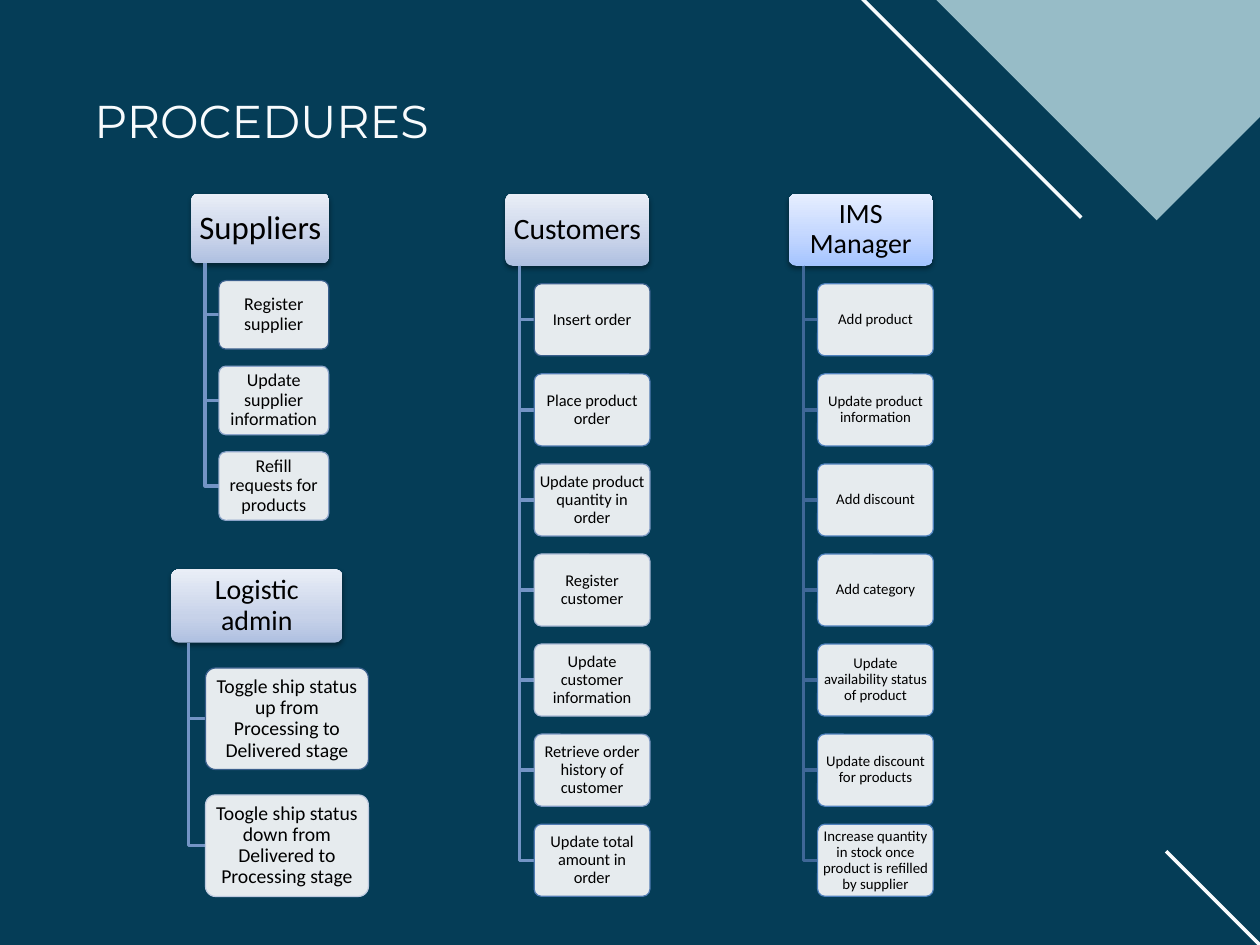
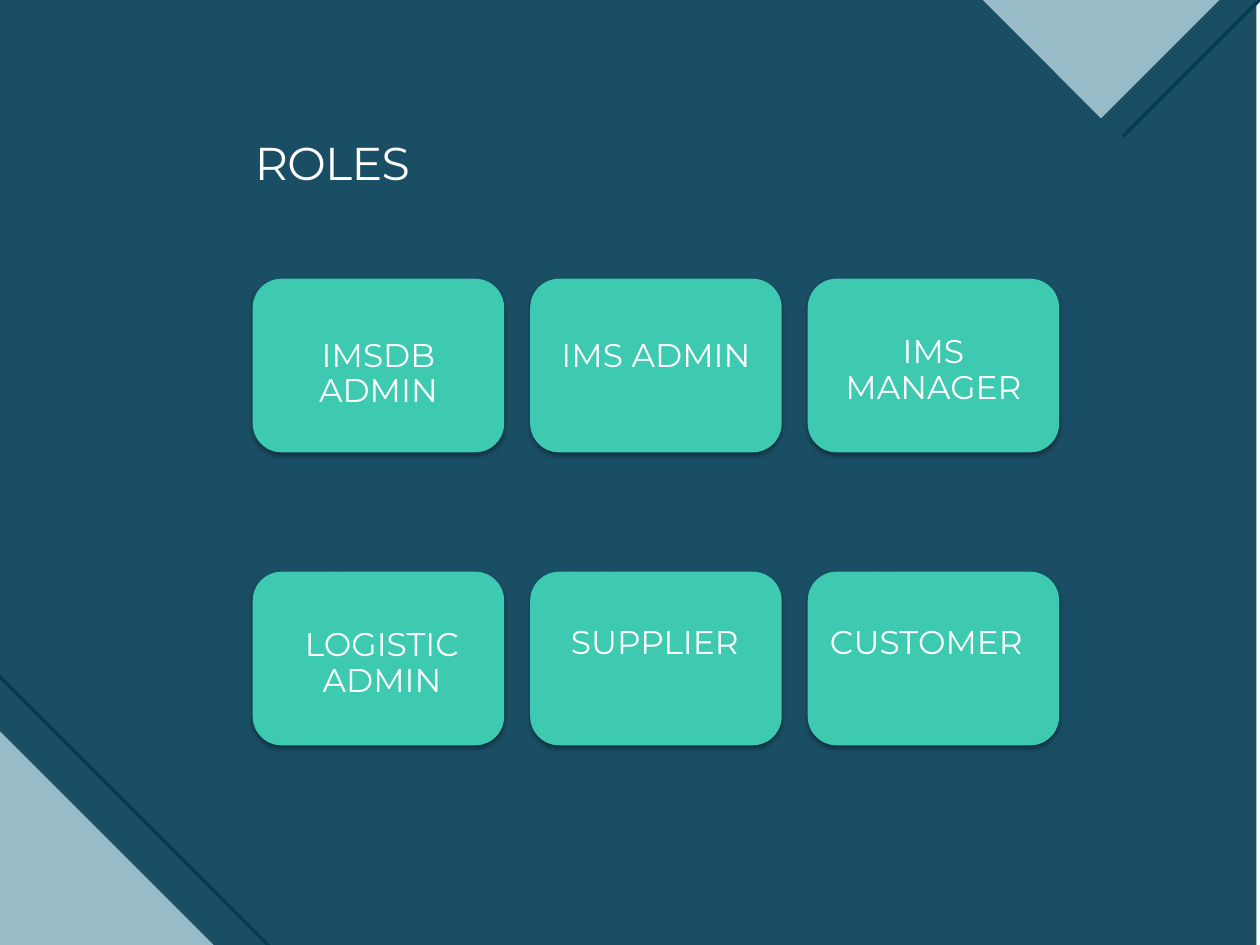
import pptx
import pptx.util
import pptx.dml.color
import pptx.enum.shapes
import pptx.enum.text
import pptx.oxml
import pptx.oxml.ns

Inches = pptx.util.Inches
Pt = pptx.util.Pt
rgb = pptx.dml.color.RGBColor.from_string
MSO = pptx.enum.shapes.MSO_SHAPE
ALIGN = pptx.enum.text.PP_ALIGN
ANCHOR = pptx.enum.text.MSO_ANCHOR
NS = pptx.oxml.ns.nsdecls("a")
qn = pptx.oxml.ns.qn

NAVY, MIST, PALE, WHITE, TEAL = "053D57", "97BCC7", "F8FBFD", "FFFFFF", "3DCAB1"
SHADOW = (
    f'<a:effectLst {NS}><a:outerShdw blurRad="39370" dist="%d" dir="5400000" rotWithShape="0">'
    '<a:srgbClr val="000000"><a:alpha val="%d"/></a:srgbClr></a:outerShdw></a:effectLst>'
)


def add_box(s, kind, at, fill, rot=0, alpha=None, shadow=None):
    sp = s.shapes.add_shape(kind, *[Inches(v) for v in at])
    sp.rotation = rot
    sp.fill.solid()
    sp.fill.fore_color.rgb = rgb(fill)
    sp.line.fill.background()
    sp.shadow.inherit = False
    pr = sp._element.spPr
    if alpha:
        clr = pr.find(qn("a:solidFill")).find(qn("a:srgbClr"))
        clr.append(pptx.oxml.parse_xml(f'<a:alpha {NS} val="{alpha * 1000}"/>'))
    if shadow:
        pr.replace(pr.find(qn("a:effectLst")), pptx.oxml.parse_xml(SHADOW % shadow))
    return sp


def write(sp, text, size, font, color, insets, anchor=ANCHOR.MIDDLE, align=ALIGN.CENTER, spacing=0.9):
    tf = sp.text_frame
    tf.word_wrap = True
    tf.auto_size = pptx.enum.text.MSO_AUTO_SIZE.NONE
    tf.vertical_anchor = anchor
    tf.margin_left, tf.margin_top, tf.margin_right, tf.margin_bottom = [Inches(v) for v in insets]
    p = tf.paragraphs[0]
    p.text = text
    p.alignment = align
    p.line_spacing = spacing
    p.font.size = Pt(size)
    p.font.name = font
    p.font.color.rgb = rgb(color)
    return p


prs = pptx.Presentation()
prs.slide_width, prs.slide_height = Inches(10.67), Inches(8)

slides = [
    ("PROCEDURES", (0.8, 0.78, 6.62, 0.43), ALIGN.LEFT, 33.6, PALE, NAVY, [
        ((7.85, -2.83, 3.89, 3.89), 315, MIST, None),
        ((7.89, -1.18, 0.03, 3.54), 315, PALE, None),
        ((10.6, 6.9, 0.03, 2.09), 315, PALE, None),
    ]),
    ("ROLES", (1.27, 0.89, 2.2, 0.62), ALIGN.RIGHT, 51.6, WHITE, PALE, [
        ((-0.03, 0, 10.67, 8), 0, NAVY, 91),
        ((8.33, -1.4, 1.99, 1.99), 315, MIST, None),
        ((-2.71, 5.93, 4.61, 6.23), 315, MIST, None),
        ((9.27, 0.56, 1.64, 0.03), 315, NAVY, None),
        ((1.36, 3.69, 0.03, 6.83), 315, NAVY, None),
    ]),
]
for title, at, align, leading, color, back, decor in slides:
    s = prs.slides.add_slide(prs.slide_layouts[5])
    s.background.fill.solid()
    s.background.fill.fore_color.rgb = rgb(back)
    for place, rot, fill, alpha in decor:
        add_box(s, MSO.RECTANGLE, place, fill, rot, alpha)
    sp = s.shapes.title
    sp.left, sp.top, sp.width, sp.height = [Inches(v) for v in at]
    p = write(sp, title, 28, "Montserrat", color, (0, 0, 0, 0), ANCHOR.TOP, align, Pt(leading))
    s.shapes._spTree.append(sp._element)
p.runs[0].font._element.set("spc", "-40")

procedures, roles = prs.slides

BLUE = ("AFC0E1", "C7D2E9", "E9EEF7")
BRIGHT = ("A4C4FF", "BFD4FF", "E6EEFF")
trees = [
    ("Customers", (4.28, 1.64, 1.22, 0.61), (0.98, 0.61), 18, 10, BLUE, "7394C5", [
        ("Insert order", "3A5F8C"),
        ("Place product order", "517BB2"),
        ("Update product quantity in order", "7E99C3"),
        ("Register customer", "A9B9D5"),
        ("Update customer information", "A9B9D5"),
        ("Retrieve order history of customer", "7E99C3"),
        ("Update total amount in order", "517BB2"),
    ]),
    ("IMS Manager", (6.68, 1.64, 1.22, 0.61), (0.98, 0.61), 17, 9, BRIGHT, "3F6797", [
        (text, "4F81BD") for text in (
            "Add product",
            "Update product information",
            "Add discount",
            "Add category",
            "Update availability status of product",
            "Update discount for products",
            "Increase quantity in stock once product is refilled by supplier",
        )
    ]),
    ("Suppliers", (1.62, 1.64, 1.17, 0.59), (0.93, 0.58), 20, 11, BLUE, "7394C5", [
        ("Register supplier", "3A5F8C"),
        ("Update supplier information", "8CA4C9"),
        ("Refill requests for products", "8CA4C9"),
    ]),
    ("Logistic admin", (1.45, 4.82, 1.45, 0.62), (1.38, 0.86), 17, 12, BLUE, "7394C5", [
        ("Toggle ship status up from Processing to Delivered stage", "3A5F8C"),
        ("Toogle ship status down from Delivered to Processing stage", "BECADF"),
    ]),
]
for head, at, (step_w, step_h), head_size, step_size, grad, branch, steps in trees:
    x, y, w, h = at
    sp = add_box(procedures, MSO.ROUNDED_RECTANGLE, at, grad[0], shadow=(20320, 38000))
    sp.adjustments[0] = 0.1
    stops = "".join(
        f'<a:gs pos="{pos}"><a:srgbClr val="{c}"/></a:gs>' for pos, c in zip((0, 35000, 100000), grad)
    )
    pr = sp._element.spPr
    pr.replace(pr.find(qn("a:solidFill")), pptx.oxml.parse_xml(
        f'<a:gradFill {NS} rotWithShape="1"><a:gsLst>{stops}</a:gsLst><a:lin ang="16200000" scaled="0"/></a:gradFill>'
    ))
    write(sp, head, head_size, "Calibri", "000000", (0.04, 0.02, 0.04, 0.02))
    for i, (text, edge) in enumerate(steps):
        top = y + h + step_h * (0.25 + 1.25 * i)
        left = x + 0.2 * w
        trunk, middle = Inches(x + 0.1 * w), Inches(top + step_h / 2)
        path = procedures.shapes.build_freeform(trunk, Inches(y + h))
        path.add_line_segments([(trunk, middle), (Inches(left), middle)], close=False)
        sp = path.convert_to_shape()
        sp.fill.background()
        sp.line.color.rgb = rgb(branch)
        sp.line.width = Pt(2)
        sp.shadow.inherit = False
        sp = add_box(procedures, MSO.ROUNDED_RECTANGLE, (left, top, step_w, step_h), WHITE, alpha=90)
        sp.adjustments[0] = 0.1
        sp.line.color.rgb = rgb(edge)
        sp.line.width = Pt(0.75)
        write(sp, text, step_size, "Calibri", "000000", (0.02, 0.01, 0.02, 0.01))

cards = [
    ("IMSDB ADMIN", 0, 0.44), ("IMS ADMIN", 0, 0.44), ("IMS MANAGER", 0, 0.41),
    ("LOGISTIC ADMIN", 0.03, 0.41), ("SUPPLIER", -0.01, 0.39), ("CUSTOMER", -0.06, 0.39),
]
for i, (role, shift, inset) in enumerate(cards):
    row, col = divmod(i, 3)
    at = (2.14 + 2.35 * col, 2.36 + 2.48 * row, 2.13, 1.47)
    sp = add_box(roles, MSO.ROUNDED_RECTANGLE, at, TEAL, shadow=(22860, 35000))
    write(sp, role, 20, "Montserrat", WHITE, (0.09 + shift, inset, 0.09 - shift, 0), ANCHOR.TOP)

prs.save("out.pptx")
